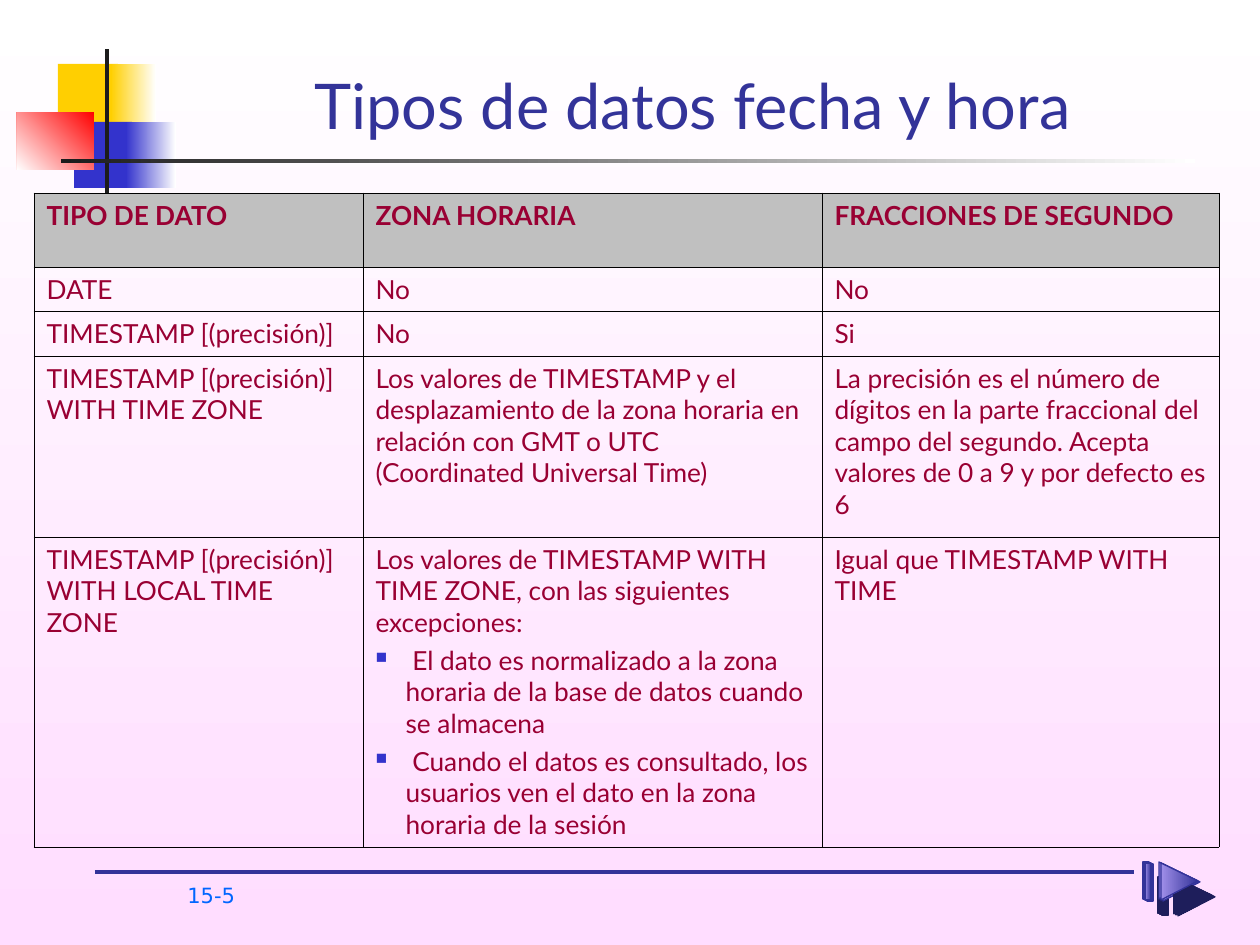
"""Builds a slide comparing the date and time data types."""
from dataclasses import dataclass

from lxml.etree import SubElement
from pptx import Presentation
from pptx.dml.color import RGBColor
from pptx.enum.shapes import MSO_CONNECTOR, MSO_SHAPE
from pptx.enum.text import MSO_ANCHOR, PP_ALIGN
from pptx.oxml.ns import qn
from pptx.util import Pt

SCALE = 914400 / 126


@dataclass(frozen=True)
class Theme:
    white: str = "FFFFFF"
    pink: str = "FFDDFF"
    yellow: str = "FFCF01"
    blue: str = "3333CC"
    red: str = "FF0000"
    dark: str = "1C1C1C"
    navy: str = "333399"
    lilac: str = "A08FE9"
    shadow: str = "1E1E5B"
    number: str = "0066FF"
    cell_text: str = "990033"
    header: str = "C0C0C0"
    border: str = "000000"
    font: str = "Lato"
    number_font: str = "DejaVu Sans"
    title_size: int = 36
    cell_size: int = 15
    number_size: int = 12


theme = Theme()


def paint(fill, colours, angle=0):
    if len(colours) == 1:
        fill.solid()
        fill.fore_color.rgb = RGBColor.from_string(colours[0])
        return
    fill.gradient()
    fill.gradient_angle = (360 - angle) % 360
    for stop, colour in zip(fill.gradient_stops, colours):
        stop.color.rgb = RGBColor.from_string(colour)


def write(para, text, colour, formats):
    span = para.add_run()
    span.text = text
    span.font.color.rgb = RGBColor.from_string(colour)
    for name, value in formats.items():
        setattr(span.font, name, value)


deck = Presentation()
deck.slide_width, deck.slide_height = int(1260 * SCALE), int(945 * SCALE)
page = deck.slides.add_slide(deck.slide_layouts[6])
paint(page.background.fill, (theme.white, theme.pink), 90)

ornaments = [
    ((58, 64, 60, 66), (theme.yellow,), 0),
    ((111, 64, 45, 66), (theme.white, theme.yellow), 180),
    ((74, 122, 58, 66), (theme.blue,), 0),
    ((126, 122, 50, 66), (theme.white, theme.blue), 180),
    ((17, 112, 77, 58), (theme.red, theme.white), 135),
    ((105, 49, 4, 145), (theme.dark,), 0),
    ((61, 159, 1134, 4), (theme.white, theme.dark), 180),
]
for place, colours, angle in ornaments:
    block = page.shapes.add_shape(MSO_SHAPE.RECTANGLE, *[int(n * SCALE) for n in place])
    block.shadow.inherit = False
    block.line.fill.background()
    paint(block.fill, colours, angle)

footer_ends = [int(n * SCALE) for n in (95, 872, 1134, 872)]
footer_line = page.shapes.add_connector(MSO_CONNECTOR.STRAIGHT, *footer_ends)
footer_line.line.color.rgb = RGBColor.from_string(theme.navy)
footer_line.line.width = Pt(2.75)
SubElement(footer_line.element.spPr, qn("a:effectLst"))

offsets = [(4, 2), (0, 0), (2, 1)]
icon_parts = []
for across, down in offsets:
    place = (1143 + across, 862 + down, 6, 37)
    icon_parts.append(page.shapes.add_shape(
        MSO_SHAPE.RECTANGLE, *[int(n * SCALE) for n in place]))
for across, down in offsets:
    left, top = 1159 + across, 862 + down
    outline = page.shapes.build_freeform(left + 37, top + 18, SCALE)
    outline.add_line_segments([(left, top), (left, top + 37)], close=True)
    icon_parts.append(outline.convert_to_shape())
for part in icon_parts:
    paint(part.fill, (theme.navy, theme.lilac), 180)
    part.line.color.rgb = RGBColor.from_string(theme.navy)
    part.line.width = Pt(0.75)
    part.shadow.inherit = False
    effects = part.element.spPr.find(qn("a:effectLst"))
    cast = SubElement(effects, qn("a:outerShdw"), blurRad="0", dist=str(Pt(12.1)),
                      dir="2700000", algn="ctr", rotWithShape="0")
    SubElement(cast, qn("a:srgbClr"), val=theme.shadow)

labels = [
    ((175, 876, 108, 42), "15-5", theme.number,
     {"name": theme.number_font, "size": Pt(theme.number_size)},
     MSO_ANCHOR.TOP, PP_ALIGN.LEFT),
    ((159, 45, 1067, 103), "Tipos de datos fecha y hora", theme.navy,
     {"name": theme.font, "size": Pt(theme.title_size)},
     MSO_ANCHOR.BOTTOM, PP_ALIGN.CENTER),
]
for place, text, colour, formats, anchor, alignment in labels:
    box = page.shapes.add_textbox(*[int(n * SCALE) for n in place])
    box.text_frame.word_wrap = True
    box.text_frame.vertical_anchor = anchor
    para = box.text_frame.paragraphs[0]
    para.alignment = alignment
    write(para, text, colour, formats)

rows = [
    ("TIPO DE DATO", "ZONA HORARIA", "FRACCIONES DE SEGUNDO"),
    ("DATE", "No", "No"),
    ("TIMESTAMP [(precisión)]", "No", "Si"),
    ("TIMESTAMP [(precisión)] WITH TIME ZONE",
     "Los valores de TIMESTAMP y el desplazamiento de la zona horaria en relación "
     "con GMT o UTC (Coordinated Universal Time)",
     "La precisión es el número de dígitos en la parte fraccional del campo del "
     "segundo. Acepta valores de 0 a 9 y por defecto es 6"),
    ("TIMESTAMP [(precisión)] WITH LOCAL TIME ZONE",
     "Los valores de TIMESTAMP WITH TIME ZONE, con las siguientes excepciones:\n"
     " El dato es normalizado a la zona horaria de la base de datos cuando se almacena\n"
     " Cuando el datos es consultado, los usuarios ven el dato en la zona horaria "
     "de la sesión",
     "Igual que TIMESTAMP WITH TIME"),
]
widths = [329, 459, 397]
heights = [74, 44, 45, 181, 310]
place = (34, 193, sum(widths), sum(heights))
table = page.shapes.add_table(
    len(rows), len(widths), *[int(n * SCALE) for n in place]).table
table.first_row = table.horz_banding = False
for column, width in zip(table.columns, widths):
    column.width = int(width * SCALE)
for row, height in zip(table.rows, heights):
    row.height = int(height * SCALE)

for row_index, texts in enumerate(rows):
    is_header = row_index == 0
    formats = {"name": theme.font, "size": Pt(theme.cell_size), "bold": is_header}
    for column_index, text in enumerate(texts):
        cell = table.cell(row_index, column_index)
        properties = cell._tc.get_or_add_tcPr()
        for side in ("lnL", "lnR", "lnT", "lnB"):
            edge = SubElement(properties, qn(f"a:{side}"), w=str(Pt(0.45)))
            SubElement(SubElement(edge, qn("a:solidFill")), qn("a:srgbClr"), val=theme.border)
        if is_header:
            paint(cell.fill, (theme.header,))
        else:
            cell.fill.background()
        for line_index, line in enumerate(text.split("\n")):
            frame = cell.text_frame
            para = frame.add_paragraph() if line_index else frame.paragraphs[0]
            para.space_before = Pt(3.7)
            write(para, line, theme.cell_text, formats)
            if line_index:
                layout = para._p.get_or_add_pPr()
                layout.set("marL", str(int(30 * SCALE)))
                layout.set("indent", str(int(-30 * SCALE)))
                SubElement(SubElement(layout, qn("a:buClr")), qn("a:srgbClr"), val=theme.blue)
                SubElement(layout, qn("a:buSzPct"), val="60000")
                SubElement(layout, qn("a:buChar"), char="■")

deck.save("out.pptx")
